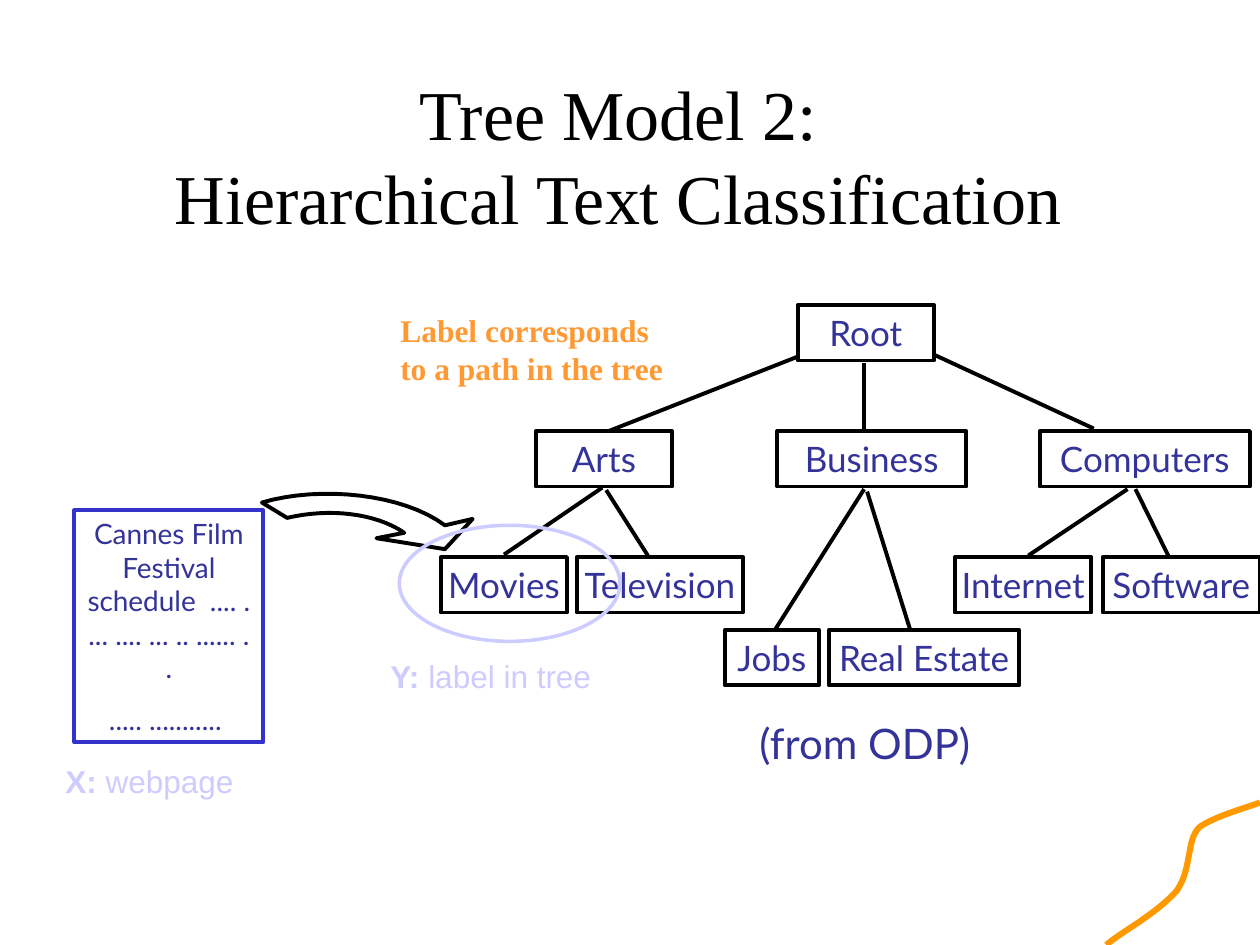
from dataclasses import dataclass

from lxml import etree
from pptx import Presentation
from pptx import util as u
from pptx.dml.color import RGBColor
from pptx.enum import shapes, text
from pptx.oxml.ns import qn

COLORS = {
    "black": "000000",
    "navy": "333399",
    "blue": "3333CC",
    "lilac": "CCCCFF",
    "orange": "FF9900",
    "apricot": "FF9933",
}
NODE_HEIGHT = 1.12
LEVEL_TOPS = (6.15, 8.69, 11.23, 12.7)
CENTER = text.PP_ALIGN.CENTER
LEFT = text.PP_ALIGN.LEFT

Point = tuple[float, float]


@dataclass
class Node:
    label: str
    left: float
    level: int
    width: float


@dataclass
class Edge:
    start: Point
    end: Point


@dataclass
class Style:
    size: float
    font: str
    color: str
    bold: bool | None = None
    align: text.PP_ALIGN = CENTER


@dataclass
class Caption:
    words: tuple[str, ...]
    place: tuple[float, float, float, float]
    style: Style


NODE_STYLE = Style(20, "Lato", "navy")
PAGE_STYLE = Style(16, "Lato", "navy")
TITLE_STYLE = Style(40, "Times New Roman", "black")
KEY_STYLE = Style(18, "Arial", "lilac", align=LEFT)

NODES = [
    Node("Root", 16.08, 0, 2.75),
    Node("Arts", 10.8, 1, 2.75),
    Node("Business", 15.67, 1, 3.81),
    Node("Computers", 20.96, 1, 4.24),
    Node("Movies", 8.89, 2, 2.54),
    Node("Television", 11.63, 2, 3.35),
    Node("Jobs", 14.61, 3, 1.9),
    Node("Real Estate", 16.71, 3, 3.84),
    Node("Internet", 19.25, 2, 2.75),
    Node("Software", 22.23, 2, 3.17),
]
EDGES = [
    Edge((16.08, 7.19), (12.27, 8.69)),
    Edge((17.42, 7.32), (17.42, 8.71)),
    Edge((18.85, 7.16), (22.05, 8.64)),
    Edge((12.14, 9.83), (10.16, 11.18)),
    Edge((12.22, 9.88), (13.06, 11.2)),
    Edge((17.42, 9.86), (15.62, 12.7)),
    Edge((17.48, 9.91), (18.34, 12.67)),
    Edge((22.73, 9.86), (20.73, 11.2)),
    Edge((22.89, 9.86), (23.55, 11.2)),
]
# A caption of two words parts has a bold key first.
CAPTIONS = [
    Caption(("(from ODP)",), (12.42, 14.33, 10.03, 1.28), Style(24, "Lato", "navy")),
    Caption(("X: ", "webpage"), (1.07, 15.24, 4.88, 1.02), KEY_STYLE),
    Caption(("Y: ", "label in tree"), (7.62, 13.13, 4.88, 1.02), KEY_STYLE),
    Caption(("Label corresponds to a path in the tree",), (7.82, 6.15, 5.92, 1.78),
            Style(18, "Times New Roman", "apricot", True, LEFT)),
]


def rgb(name: str) -> RGBColor:
    return RGBColor.from_string(COLORS[name])


def format_paragraph(para, style: Style) -> None:
    para.alignment = style.align
    para.font.size = u.Pt(style.size)
    para.font.name = style.font
    para.font.bold = style.bold
    para.font.color.rgb = rgb(style.color)


def outline(shape, color: str, width: float = 2.25) -> None:
    """Leave the shape hollow, with a plain line and no shadow."""
    shape.shadow.inherit = False
    shape.fill.background()
    shape.line.color.rgb = rgb(color)
    shape.line.width = u.Pt(width)


def add_outlined(page, kind, place, color: str, width: float = 2.25):
    shape = page.shapes.add_shape(kind, *map(u.Cm, place))
    outline(shape, color, width)
    return shape


def add_node(page, node: Node) -> None:
    place = (node.left, LEVEL_TOPS[node.level], node.width, NODE_HEIGHT)
    box = add_outlined(page, shapes.MSO_SHAPE.RECTANGLE, place, "black")
    frame = box.text_frame
    frame.margin_left = frame.margin_right = 0
    frame.text = node.label
    format_paragraph(frame.paragraphs[0], NODE_STYLE)


def add_edge(page, edge: Edge) -> None:
    line = page.shapes.add_connector(
        shapes.MSO_CONNECTOR.STRAIGHT, *map(u.Cm, edge.start + edge.end))
    line.line.color.rgb = rgb("black")
    line.line.width = u.Pt(2.25)
    etree.SubElement(line._element.spPr, qn("a:effectLst"))


def add_caption(page, caption: Caption) -> None:
    box = page.shapes.add_textbox(*map(u.Cm, caption.place))
    box.text_frame.word_wrap = True
    para = box.text_frame.paragraphs[0]
    for words in caption.words:
        para.add_run().text = words
    format_paragraph(para, caption.style)
    if len(caption.words) > 1:
        para.runs[0].font.bold = True


def add_webpage(page) -> None:
    place = (1.5, 10.29, 3.81, 4.67)
    box = add_outlined(page, shapes.MSO_SHAPE.RECTANGLE, place, "blue")
    frame = box.text_frame
    frame.vertical_anchor = text.MSO_ANCHOR.TOP
    frame.text = "Cannes Film Festival schedule  .... .... .... ... .. ...... ..\n..... ........... "
    for para in frame.paragraphs:
        format_paragraph(para, PAGE_STYLE)
    frame.paragraphs[1].space_before = u.Pt(10)


def curve(start: Point, first: Point, second: Point, end: Point, steps: int = 16) -> list[Point]:
    """Points along a cubic Bézier curve, both ends included."""
    def at(t: float) -> Point:
        s = 1 - t
        weights = (s ** 3, 3 * s * s * t, 3 * s * t * t, t ** 3)
        corners = (start, first, second, end)
        return (sum(w * c[0] for w, c in zip(weights, corners)),
                sum(w * c[1] for w, c in zip(weights, corners)))
    return [at(i / steps) for i in range(steps + 1)]


def add_outline(page, points: list[Point], color: str, width: float, close: bool) -> None:
    (start, *others) = [(u.Cm(x), u.Cm(y)) for x, y in points]
    builder = page.shapes.build_freeform(*start)
    builder.add_line_segments(others, close=close)
    outline(builder.convert_to_shape(), color, width)


def main() -> None:
    deck = Presentation()
    deck.slide_width, deck.slide_height = u.Cm(25.4), u.Cm(19.05)
    page = deck.slides.add_slide(deck.slide_layouts[5])

    title = page.shapes.title
    title.left, title.top, title.width, title.height = map(u.Cm, (1.9, 1.9, 21.13, 2.44))
    title.text_frame.text = "Tree Model 2:\vHierarchical Text Classification"
    title.text_frame.vertical_anchor = text.MSO_ANCHOR.MIDDLE
    format_paragraph(title.text_frame.paragraphs[0], TITLE_STYLE)

    for node in NODES:
        add_node(page, node)
    for edge in EDGES:
        add_edge(page, edge)
    add_webpage(page)

    arrow = (curve((8.15, 10.74), (7.57, 10.34), (6.63, 10.24), (5.79, 10.44))
             + curve((5.28, 10.13), (6.48, 9.78), (8.13, 9.96), (8.97, 10.59))
             + [(9.53, 10.46), (8.97, 11.07), (7.59, 10.85)])
    add_outline(page, arrow, "black", 2.25, close=True)
    add_outlined(page, shapes.MSO_SHAPE.OVAL, (8.05, 10.59, 4.45, 2.34), "lilac", 2)

    ribbon = (curve((25.4, 16.18), (25.04, 16.31), (24.59, 16.43), (24.23, 16.64))
              + curve((24.23, 16.64), (23.9, 16.85), (24.05, 17.5), (23.72, 17.96))[1:]
              + curve((23.72, 17.96), (23.29, 18.44), (22.66, 18.75), (22.3, 19.05))[1:])
    add_outline(page, ribbon, "orange", 3.5, close=False)

    for caption in CAPTIONS:
        add_caption(page, caption)
    deck.save("out.pptx")


if __name__ == "__main__":
    main()
